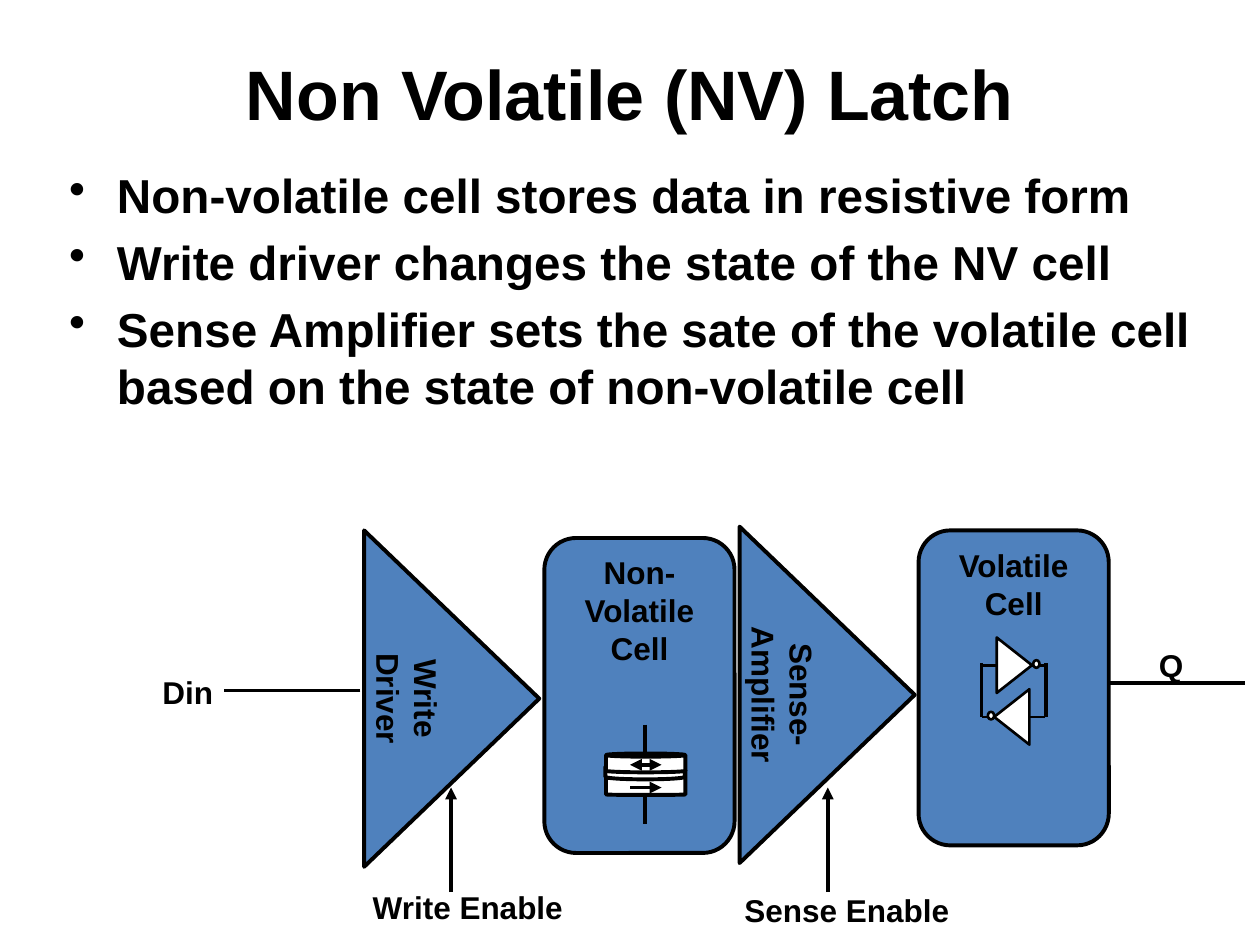
from lxml.etree import SubElement
from pptx import Presentation
from pptx.dml.color import RGBColor
from pptx.enum.shapes import MSO_CONNECTOR, MSO_SHAPE
from pptx.enum.text import MSO_ANCHOR, PP_ALIGN
from pptx.oxml.ns import qn
from pptx.util import Pt

PX = 9144
BLACK = RGBColor(0x00, 0x00, 0x00)
WHITE = RGBColor(0xFF, 0xFF, 0xFF)
BLUE = RGBColor(0x4F, 0x81, 0xBD)
BULLETS = (
    "Non-volatile cell stores data in resistive form",
    "Write driver changes the state of the NV cell",
    "Sense Amplifier sets the sate of the volatile cell based on the state of non-volatile cell",
)


def scale(*lengths):
    return [length * PX for length in lengths]


def style_paragraph(paragraph, text, size, align):
    paragraph.text = text
    paragraph.alignment = align
    paragraph.font.name = "Arial"
    paragraph.font.size = Pt(size)
    paragraph.font.bold = True
    paragraph.font.color.rgb = BLACK


def add_text(slide, box, text, size=18, align=PP_ALIGN.LEFT, wrap=False, anchor=MSO_ANCHOR.TOP):
    frame = slide.shapes.add_textbox(*scale(*box)).text_frame
    frame.word_wrap = wrap
    frame.vertical_anchor = anchor
    style_paragraph(frame.paragraphs[0], text, size, align)
    return frame


def add_part(slide, kind, box, fill=WHITE, width=2.25, rotation=0, adjustment=None, text=None):
    shape = slide.shapes.add_shape(kind, *scale(*box))
    shape.shadow.inherit = False
    shape.rotation = rotation
    shape.fill.solid()
    shape.fill.fore_color.rgb = fill
    shape.line.color.rgb = BLACK
    shape.line.width = Pt(width)
    if adjustment is not None:
        shape.adjustments[0] = adjustment
    if text:
        shape.text_frame.word_wrap = True
        shape.text_frame.vertical_anchor = MSO_ANCHOR.TOP
        style_paragraph(shape.text_frame.paragraphs[0], text, 18, PP_ALIGN.CENTER)


def add_wire(slide, start, end, width=2.25, arrows=()):
    connector = slide.shapes.add_connector(MSO_CONNECTOR.STRAIGHT, *scale(*start, *end))
    connector.line.color.rgb = BLACK
    connector.line.width = Pt(width)
    line = connector.line._get_or_add_ln()
    for arrow in arrows:
        SubElement(line, qn(f"a:{arrow}"), type="triangle")
    SubElement(connector._element.spPr, qn("a:effectLst"))


def add_bullets(slide, box):
    frame = add_text(slide, box, BULLETS[0], 27.2, wrap=True)
    for text in BULLETS[1:]:
        style_paragraph(frame.add_paragraph(), text, 27.2, PP_ALIGN.LEFT)
    for paragraph in frame.paragraphs:
        paragraph.space_before = Pt(5.4)
        properties = paragraph._p.get_or_add_pPr()
        properties.set("marL", str(38 * PX))
        properties.set("indent", str(-38 * PX))
        bullet = SubElement(properties, qn("a:buChar"), char="•")
        properties.remove(bullet)
        properties.insert_element_before(bullet, "a:tabLst", "a:defRPr", "a:extLst")


def add_cell(slide, left, top, label):
    add_part(slide, MSO_SHAPE.ROUNDED_RECTANGLE, (left, top, 151, 250), BLUE,
             adjustment=0.167, text=label)


def add_inverter_loop(slide, left, top):
    triangle = MSO_SHAPE.ISOSCELES_TRIANGLE
    for wire_y, triangle_x, rotation, bubble_x in ((55, 2, 270, 5), (14, 4, 90, 41)):
        add_wire(slide, (left, top + wire_y), (left + 50, top + wire_y), 1.5)
        add_part(slide, triangle, (left + triangle_x, top + wire_y - 14, 44, 28),
                 width=1.5, rotation=rotation)
        add_part(slide, MSO_SHAPE.OVAL, (left + bubble_x, top + wire_y - 4, 5, 6), width=1.5)
    for x in (left, left + 51):
        add_wire(slide, (x, top + 55), (x, top + 12))


def add_magnetic_junction(slide, left, top):
    add_part(slide, MSO_SHAPE.CAN, (left, top + 36, 63, 20), adjustment=0.041)
    add_part(slide, MSO_SHAPE.FLOWCHART_DIRECT_ACCESS_STORAGE, (left + 25, top + 6, 12, 63),
             rotation=270)
    add_part(slide, MSO_SHAPE.CAN, (left, top + 23, 63, 15), adjustment=0.169)
    for y, arrows in ((50, ("tailEnd",)), (32, ("headEnd", "tailEnd"))):
        add_wire(slide, (left + 19, top + y), (left + 44, top + y), arrows=arrows)
    for y in (0, 56):
        add_wire(slide, (left + 31, top + y), (left + 31, top + y + 23))


def add_driver(slide, left, top, label):
    add_part(slide, MSO_SHAPE.ISOSCELES_TRIANGLE, (left, top, 267, 139), BLUE,
             rotation=90, text=label)


def add_enable(slide, x, label_box, label):
    add_wire(slide, (x, 708), (x, 625), arrows=("tailEnd",))
    add_text(slide, label_box, label)


def add_latch_diagram(slide):
    add_cell(slide, 729, 421, "Volatile Cell")
    add_cell(slide, 432, 427, "Non-Volatile Cell")
    add_inverter_loop(slide, 779, 514)
    add_magnetic_junction(slide, 481, 575)
    add_wire(slide, (286, 548), (178, 548))
    add_text(slide, (119, 529, 61, 40), "Din")
    add_wire(slide, (988, 542), (880, 542))
    add_text(slide, (910, 508, 40, 40), "Q", wrap=True)
    add_driver(slide, 523, 482, "Sense-Amplifier")
    add_driver(slide, 225, 485, "Write Driver")
    add_enable(slide, 358, (286, 700, 175, 40), "Write Enable")
    add_enable(slide, 657, (581, 702, 184, 40), "Sense Enable")


def main():
    presentation = Presentation()
    presentation.slide_width, presentation.slide_height = scale(1000, 750)
    slide = presentation.slides.add_slide(presentation.slide_layouts[6])
    add_text(slide, (50, 11, 900, 125), "Non Volatile (NV) Latch", 40,
             PP_ALIGN.CENTER, True, MSO_ANCHOR.MIDDLE)
    add_bullets(slide, (45, 127, 925, 242))
    add_latch_diagram(slide)
    presentation.save("out.pptx")


if __name__ == "__main__":
    main()
